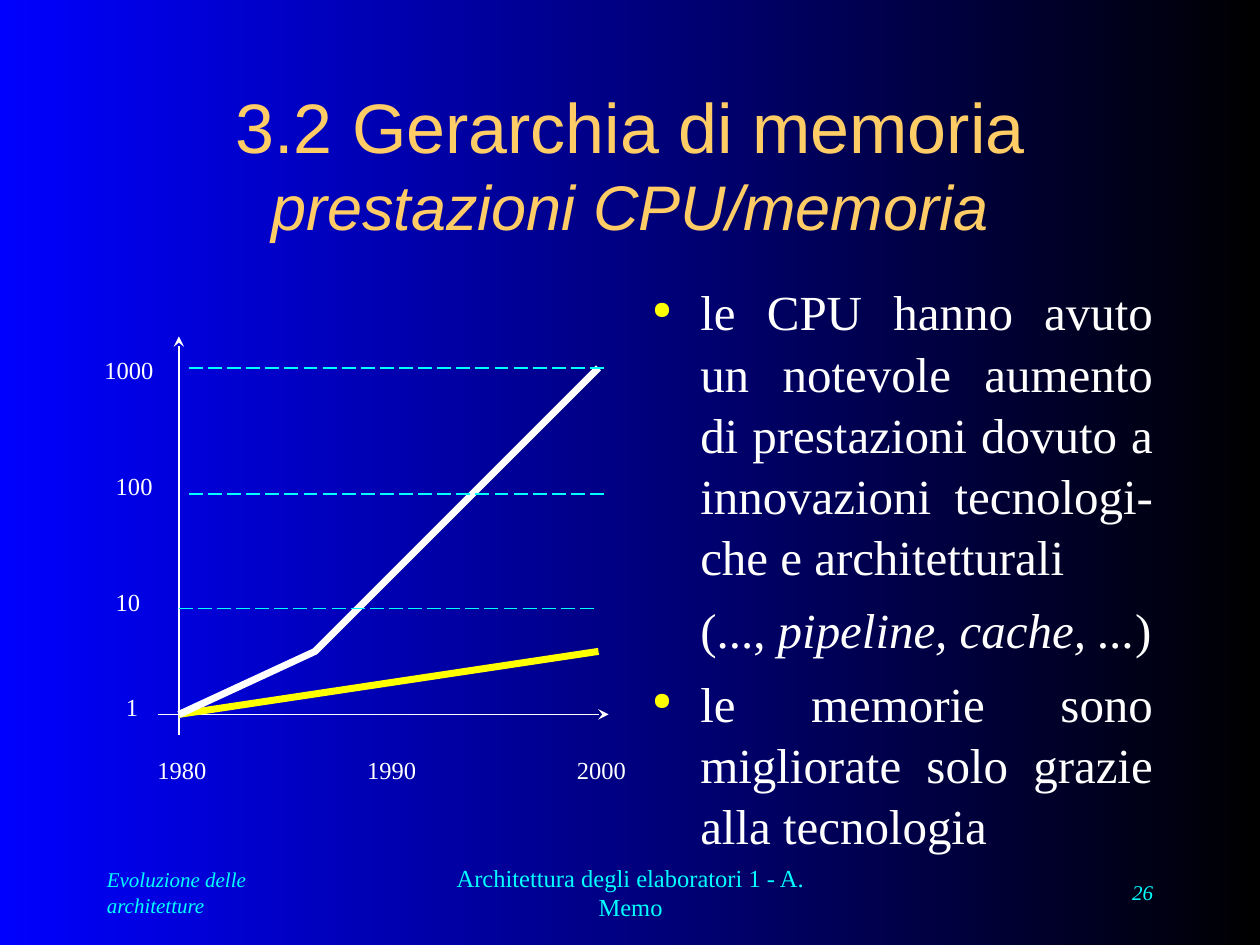
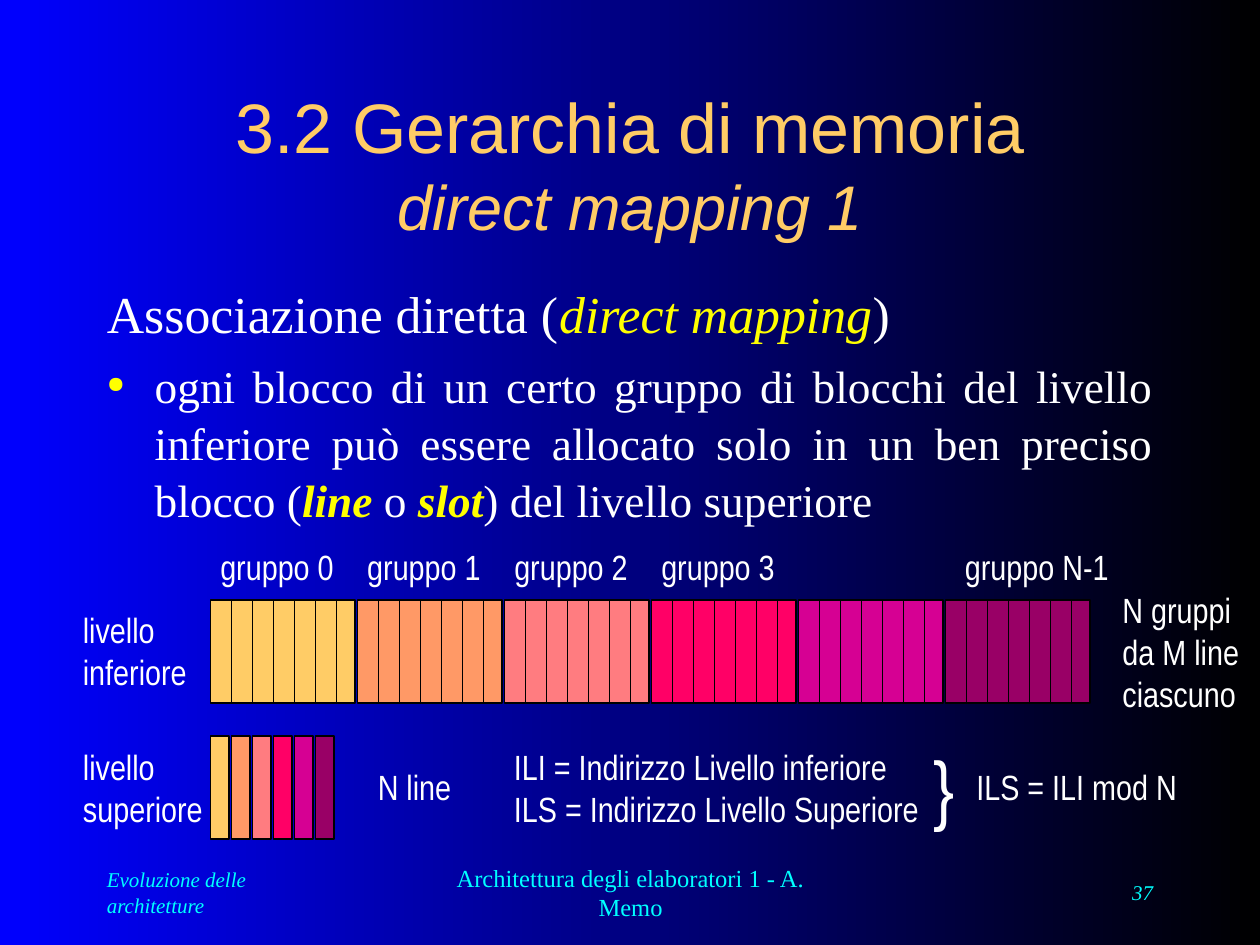
import pptx
import pptx.dml.color
import pptx.enum.dml
import pptx.enum.shapes
import pptx.enum.text
import pptx.oxml.ns
import pptx.util
from dataclasses import dataclass
from lxml import etree

Inches = pptx.util.Inches
Align = pptx.enum.text.PP_ALIGN
Anchor = pptx.enum.text.MSO_ANCHOR


@dataclass(frozen=True)
class Theme:
    blue: str = "0000FF"
    black: str = "000000"
    white: str = "FFFFFF"
    yellow: str = "FFFF00"
    cyan: str = "00FFFF"
    gold: str = "FFCC66"
    groups: tuple = ("FFCC66", "FF9966", "FF7C80", "FF0066", "D60093", "990066")
    title_font: str = "Arial"
    body_font: str = "Times New Roman"
    diagram_font: str = "Arial Narrow"
    title_size: float = 40
    subtitle_size: float = 36
    footer_size: float = 12
    label_size: float = 14
    diagram_size: float = 20
    brace_size: float = 44
    thin: float = 1
    thick: float = 4
    line_spacing: float = 1.04


THEME = Theme()

# Shared content
TITLE = "3.2 Gerarchia di memoria"
CHAPTER = "Evoluzione delle architetture"
COURSE = "Architettura degli elaboratori 1 - A. Memo"

# Body paragraphs: size, layout ("bullet", "indent" or "plain"), spans of (text, style)
ITALIC = {"italic": True}
KEY = {"italic": True, "color": THEME.yellow}
BOLD_KEY = {**KEY, "bold": True}
PERFORMANCE_BODY = [
    (28, "bullet", [("le CPU hanno avuto un notevole aumento di prestazioni dovuto a "
                     "innovazioni tecnologi-che e architetturali", {})]),
    (28, "indent", [("(..., ", {}), ("pipeline, cache, ...", ITALIC), (")", {})]),
    (28, "bullet", [("le memorie sono migliorate solo grazie alla tecnologia", {})]),
]
MAPPING_BODY = [
    (29.6, "plain", [("Associazione diretta (", {}), ("direct mapping", KEY), (")", {})]),
    (25.9, "bullet", [("ogni blocco di un certo gruppo di blocchi del livello inferiore può "
                       "essere allocato solo in un ben preciso blocco (", {}),
                      ("line", BOLD_KEY), (" o ", {}), ("slot", BOLD_KEY),
                      (") del livello superiore", {})]),
]

# Performance graph
AXES = [((1.25, 5.67), (4.83, 5.67)), ((1.42, 5.83), (1.42, 2.67))]
SPEED_LABELS = [("1", 0.9, 5.44, 0.3), ("10", 0.82, 4.61, 0.4),
                ("100", 0.82, 3.69, 0.49), ("1000", 0.73, 2.77, 0.59)]
YEARS = ["1980", "1990", "2000"]
YEAR_LEFT, YEAR_STEP, YEAR_TOP = 1.15, 1.665, 5.94
MEMORY_CURVE = [(1.42, 5.67), (4.75, 5.17)]
CPU_CURVE = [(1.42, 5.67), (2.5, 5.17), (4.75, 2.92)]
GRID_STARTS = [(1.42, 4.83), (1.5, 3.92), (1.5, 2.92)]
GRID_LENGTH = 3.33

# Mapping diagram
CELL = 1 / 6
CELLS_PER_GROUP = 7
MEMORY_LEFT, LOWER_TOP, UPPER_TOP = 1.67, 4.76, 5.84
BLOCK_HEIGHT, BLOCK_GAP = 0.82, 0.02
GROUP_NAMES = ["gruppo 0", "gruppo 1", "gruppo 2", "gruppo 3"]
DIAGRAM_LABELS = [
    ("gruppo N-1", (7.56, 4.28, 1.34, 0.43)),
    ("livello\ninferiore", (0.56, 4.78, 1.03, 0.77)),
    ("livello\nsuperiore", (0.56, 5.87, 1.15, 0.77)),
    ("N gruppi\nda M line\nciascuno", (8.81, 4.62, 1.13, 1.1)),
    ("N line", (2.9, 6.03, 0.79, 0.43)),
    ("ILI = Indirizzo Livello inferiore\nILS = Indirizzo Livello Superiore",
     (3.98, 5.87, 3.42, 0.77)),
    ("ILS = ILI mod N", (7.65, 6.03, 1.79, 0.43)),
]


def rgb(color):
    return pptx.dml.color.RGBColor.from_string(color)


def set_font(font, name, size, color, bold=False, italic=False):
    font.name, font.size = name, pptx.util.Pt(size)
    font.color.rgb = rgb(color)
    font.bold, font.italic = bold, italic


def add_box(page, place, wrap=False, anchor=Anchor.TOP):
    box = page.shapes.add_textbox(*map(Inches, place))
    box.text_frame.word_wrap = wrap
    box.text_frame.vertical_anchor = anchor
    return box


def add_label(page, text, place, name, size, color, align=Align.LEFT, italic=False,
              wrap=False, anchor=Anchor.TOP):
    box = add_box(page, place, wrap, anchor)
    box.text_frame.text = text
    for para in box.text_frame.paragraphs:
        para.alignment = align
        for span in para.runs:
            set_font(span.font, name, size, color, italic=italic)
    return box


def set_indent(para, layout):
    if layout == "plain":
        return
    properties = para._p.get_or_add_pPr()
    properties.set("marL", str(Inches(0.38)))
    if layout == "bullet":
        properties.set("indent", str(Inches(-0.38)))
        qn = pptx.oxml.ns.qn
        color = etree.SubElement(properties, qn("a:buClr"))
        etree.SubElement(color, qn("a:srgbClr"), val=THEME.yellow)
        etree.SubElement(properties, qn("a:buSzPct"), val="50000")
        etree.SubElement(properties, qn("a:buChar"), char="●")


def add_body(page, place, paragraphs):
    frame = add_box(page, place, wrap=True).text_frame
    for index, (size, layout, spans) in enumerate(paragraphs):
        para = frame.add_paragraph() if index else frame.paragraphs[0]
        set_indent(para, layout)
        para.alignment = Align.JUSTIFY
        para.line_spacing = THEME.line_spacing
        if index:
            para.space_before = pptx.util.Pt(7)
        for text, style in spans:
            span = para.add_run()
            span.text = text
            set_font(span.font, THEME.body_font, size, **{"color": THEME.white, **style})


def style_line(line, color, width):
    line.color.rgb = rgb(color)
    line.width = pptx.util.Pt(width)


def add_line(page, start, end, color, width=THEME.thin, dash=None, arrow=False):
    line = page.shapes.add_connector(pptx.enum.shapes.MSO_CONNECTOR.STRAIGHT,
                                     *map(Inches, (*start, *end)))
    style_line(line.line, color, width)
    if dash:
        line.line.dash_style = dash
    if arrow:
        etree.SubElement(line.line._get_or_add_ln(), pptx.oxml.ns.qn("a:tailEnd"),
                         type="stealth")
    etree.SubElement(line._element.spPr, pptx.oxml.ns.qn("a:effectLst"))


def add_block(page, left, top, width, color):
    block = page.shapes.add_shape(pptx.enum.shapes.MSO_SHAPE.RECTANGLE,
                                  *map(Inches, (left, top, width, BLOCK_HEIGHT)))
    block.shadow.inherit = False
    block.fill.solid()
    block.fill.fore_color.rgb = rgb(color)
    style_line(block.line, THEME.black, THEME.thin)


def add_page(deck, subtitle, number):
    page = deck.slides.add_slide(deck.slide_layouts[6])
    fill = page.background.fill
    fill.gradient()
    fill.gradient_angle = 0
    for stop, color in zip(fill.gradient_stops, (THEME.blue, THEME.black)):
        stop.color.rgb = rgb(color)

    # Footer
    footers = [(CHAPTER, 0.75, 2.08, Align.LEFT, THEME.footer_size, True),
               (COURSE, 3.42, 3.17, Align.CENTER, THEME.label_size, False),
               (number, 7.17, 2.08, Align.RIGHT, THEME.footer_size, True)]
    for text, left, width, align, size, italic in footers:
        add_label(page, text, (left, 6.83, width, 0.5), THEME.body_font, size, THEME.cyan,
                  align, italic, anchor=Anchor.MIDDLE)

    # Title and subtitle
    title = add_label(page, f"{TITLE}\v{subtitle}", (0.75, 0.67, 8.5, 1.25),
                      THEME.title_font, THEME.title_size, THEME.gold, Align.CENTER,
                      wrap=True, anchor=Anchor.MIDDLE)
    subtitle_font = title.text_frame.paragraphs[0].runs[-1].font
    subtitle_font.size, subtitle_font.italic = pptx.util.Pt(THEME.subtitle_size), True
    return page


def build_performance(deck):
    page = add_page(deck, "prestazioni CPU/memoria", "26")
    add_body(page, (5.08, 2.17, 4.17, 4.5), PERFORMANCE_BODY)

    # Axes and their labels
    for start, end in AXES:
        add_line(page, start, end, THEME.white, arrow=True)
    years = [(year, YEAR_LEFT + index * YEAR_STEP, YEAR_TOP, 0.59)
             for index, year in enumerate(YEARS)]
    for text, left, top, width in SPEED_LABELS + years:
        add_label(page, text, (left, top, width, 0.33), THEME.body_font,
                  THEME.label_size, THEME.white)

    # Curves
    add_line(page, *MEMORY_CURVE, THEME.yellow, THEME.thick)
    start, *others = [tuple(map(Inches, point)) for point in CPU_CURVE]
    builder = page.shapes.build_freeform(*start)
    builder.add_line_segments(others, close=False)
    curve = builder.convert_to_shape()
    curve.shadow.inherit = False
    curve.fill.background()
    style_line(curve.line, THEME.white, THEME.thick)

    # Decade lines
    for left, top in GRID_STARTS:
        add_line(page, (left, top), (left + GRID_LENGTH, top), THEME.cyan,
                 dash=pptx.enum.dml.MSO_LINE.LONG_DASH)


def build_mapping(deck):
    page = add_page(deck, "direct mapping 1", "37")
    add_body(page, (0.75, 2.17, 8.5, 2), MAPPING_BODY)

    # Lower level: groups split into lines; upper level: one line per group
    group_width = CELLS_PER_GROUP * CELL
    for index, color in enumerate(THEME.groups):
        left = MEMORY_LEFT + index * group_width
        add_block(page, left, LOWER_TOP, group_width - BLOCK_GAP, color)
        for cell in range(1, CELLS_PER_GROUP):
            x = left + cell * CELL
            add_line(page, (x, LOWER_TOP), (x, LOWER_TOP + BLOCK_HEIGHT), THEME.black)
        add_block(page, MEMORY_LEFT + index * CELL, UPPER_TOP, CELL - BLOCK_GAP, color)

    # Labels
    groups = [(name, (1.65 + index * group_width, 4.28, 1.1, 0.43))
              for index, name in enumerate(GROUP_NAMES)]
    for text, place in groups + DIAGRAM_LABELS:
        add_label(page, text, place, THEME.diagram_font, THEME.diagram_size, THEME.white)
    add_label(page, "}", (7.31, 5.82, 0.37, 0.83), THEME.diagram_font,
              THEME.brace_size, THEME.white)


def main():
    deck = pptx.Presentation()
    deck.slide_width, deck.slide_height = Inches(10), Inches(7.5)
    build_performance(deck)
    build_mapping(deck)
    deck.save("out.pptx")


if __name__ == "__main__":
    main()
